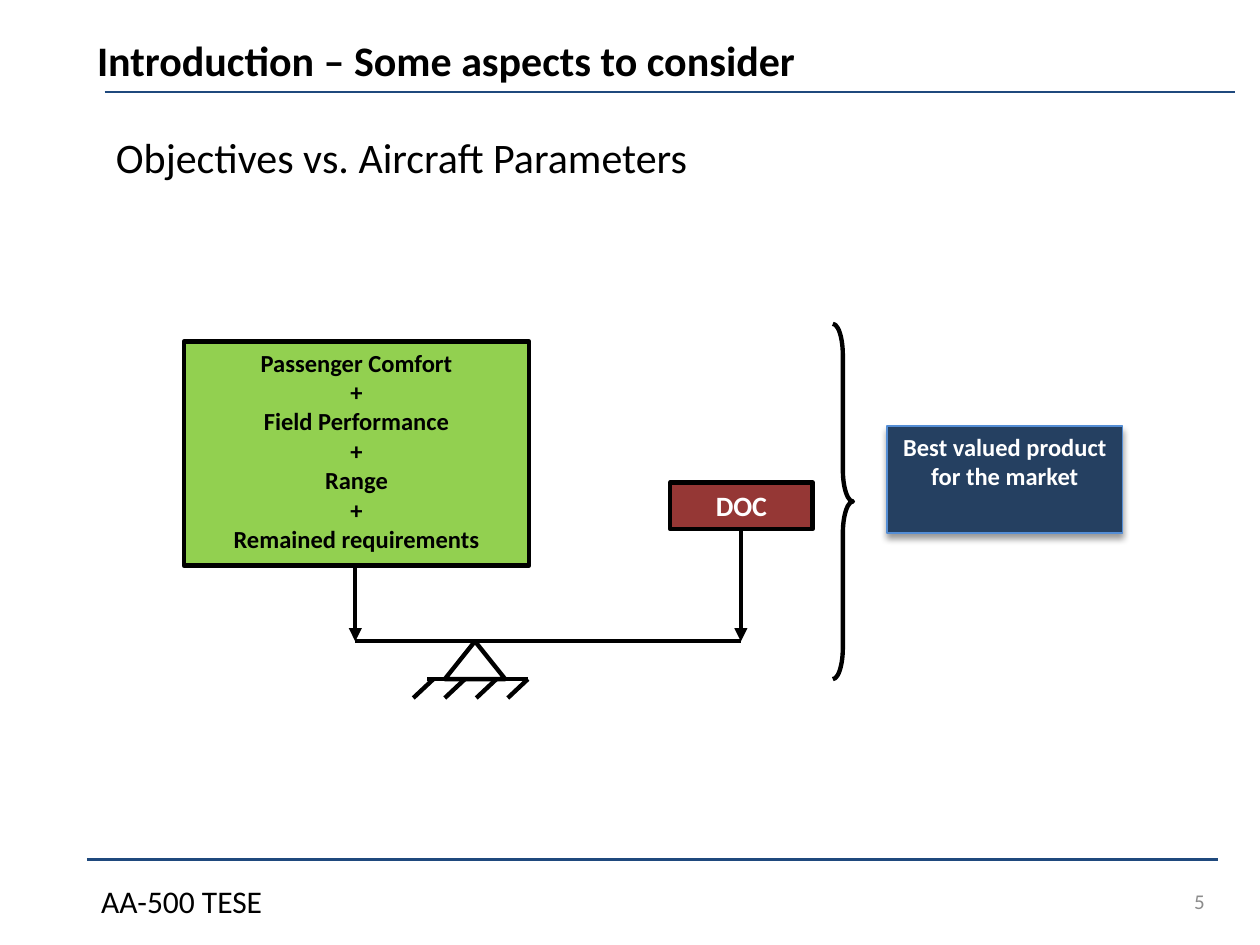
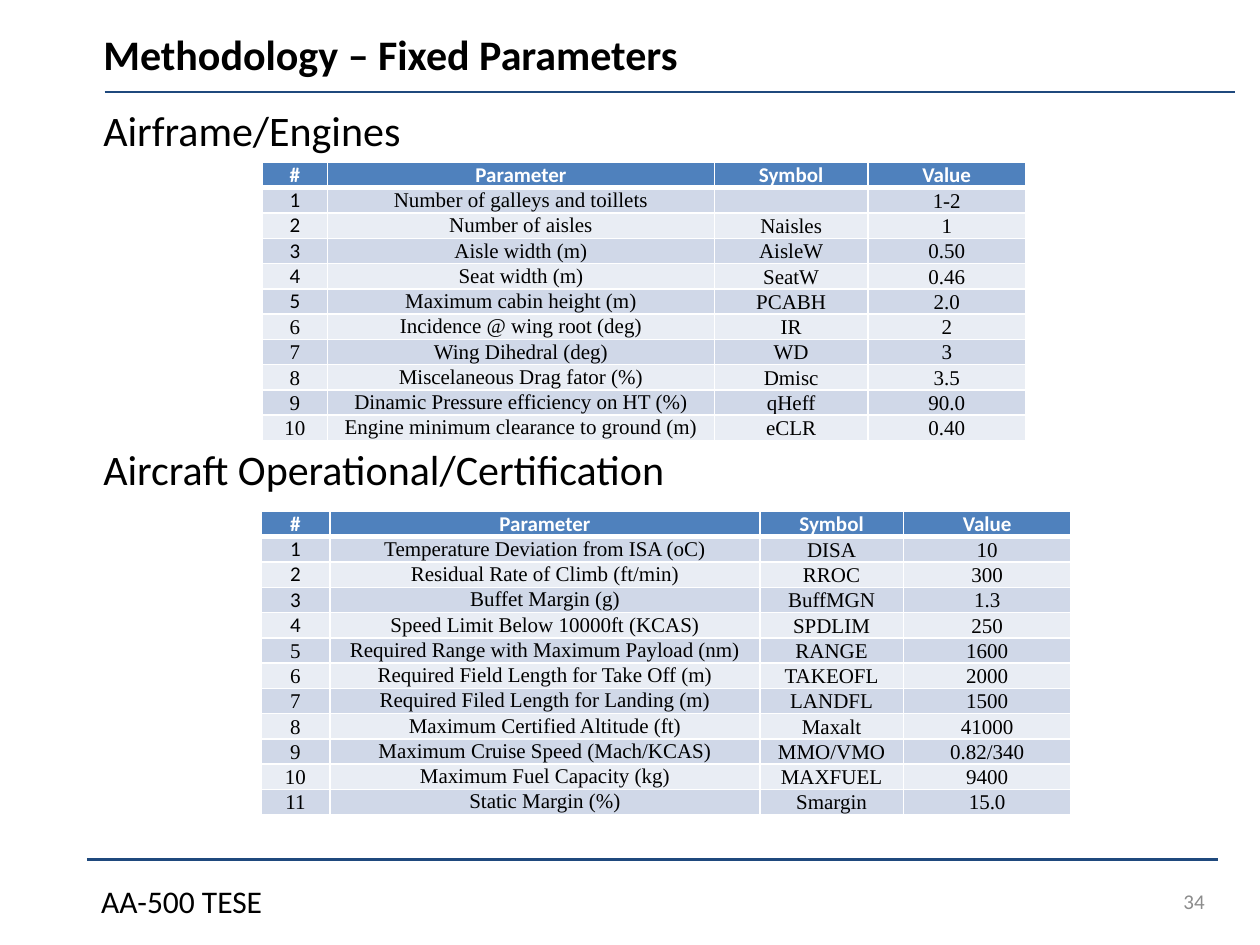
from lxml.etree import SubElement
from pptx import Presentation
from pptx.dml.color import RGBColor
from pptx.enum.shapes import MSO_CONNECTOR, MSO_SHAPE
from pptx.enum.text import MSO_ANCHOR, MSO_AUTO_SIZE, PP_ALIGN
from pptx.oxml.ns import qn
from pptx.util import Pt

EMU_PER_PX = 9144  # 100 px to the inch
BLACK, WHITE, NAVY, GREY = "000000", "FFFFFF", "1F497D", "8C8C8C"
HEADER, BANDS = "4F81BD", ("D0D8E8", "E9EDF4")
SANS, SERIF = "Calibri", "Times New Roman"
LEFT, CENTER, RIGHT = PP_ALIGN.LEFT, PP_ALIGN.CENTER, PP_ALIGN.RIGHT
TITLE_AND_CONTENT, TWO_CONTENT = 1, 3
ROW_HEIGHT = 20


def px(length):
    return length * EMU_PER_PX


def color(hex_text):
    return RGBColor.from_string(hex_text)


class Page:
    """A slide with the shared rules, footer and text style."""

    def __init__(self, deck, layout, number):
        self.slide = deck.slides.add_slide(deck.slide_layouts[layout])
        self.shapes = self.slide.shapes
        self.line(83, 73, 980, 73, NAVY, 1.5)
        self.line(69, 682, 967, 682, NAVY, 1.5)
        self.text_box(0, 695, 218, 40, "AA-500 TESE", 18, BLACK)
        self.text_box(733, 695, 233, 40, number, 12, GREY, MSO_ANCHOR.MIDDLE)

    def add_text(self, frame, lines, size, hex_text, bold=False, align=CENTER,
                 anchor=MSO_ANCHOR.TOP, font=SANS):
        frame.word_wrap = True
        frame.vertical_anchor = anchor
        for index, line in enumerate(lines):
            para = frame.add_paragraph() if index else frame.paragraphs[0]
            para.alignment = align
            span = para.add_run()
            span.text = line
            span.font.name = font
            span.font.size = Pt(size)
            span.font.bold = bold
            span.font.color.rgb = color(hex_text)

    def text_box(self, left, top, width, height, text, size, hex_text,
                 anchor=MSO_ANCHOR.TOP):
        box = self.shapes.add_textbox(px(left), px(top), px(width), px(height))
        self.add_text(box.text_frame, [text], size, hex_text, align=RIGHT, anchor=anchor)

    def heading(self, index, left, top, width, height, text, bold=False, spacing=1.0):
        """Fill placeholder number index with one unbulleted line."""
        box = self.slide.placeholders[index]
        box.left, box.top, box.width, box.height = map(px, (left, top, width, height))
        box.text_frame.auto_size = MSO_AUTO_SIZE.NONE
        para = box.text_frame.paragraphs[0]
        properties = para._p.get_or_add_pPr()
        properties.set("marL", "0")
        properties.set("indent", "0")
        SubElement(properties, qn("a:buNone"))
        para.space_before = Pt(0)
        para.line_spacing = spacing
        self.add_text(box.text_frame, [text], 24, BLACK, bold, LEFT)

    def title(self, left, top, width, text):
        self.heading(0, left, top, width, 50, text, bold=True)

    def line(self, x1, y1, x2, y2, hex_text=BLACK, width=2.5, arrow=False):
        connector = self.shapes.add_connector(
            MSO_CONNECTOR.STRAIGHT, px(x1), px(y1), px(x2), px(y2))
        connector.line.color.rgb = color(hex_text)
        connector.line.width = Pt(width)
        properties = connector.element.spPr
        if arrow:
            SubElement(properties.find(qn("a:ln")), qn("a:tailEnd"), type="triangle")
        SubElement(properties, qn("a:effectLst"))

    def shape(self, kind, left, top, width, height, fill=None, outline=BLACK, weight=2.5):
        shape = self.shapes.add_shape(kind, px(left), px(top), px(width), px(height))
        shape.shadow.inherit = False
        if fill:
            shape.fill.solid()
            shape.fill.fore_color.rgb = color(fill)
        else:
            shape.fill.background()
        shape.line.color.rgb = color(outline)
        shape.line.width = Pt(weight)
        return shape

    def drop_shadow(self, shape):
        effects = shape.element.spPr.find(qn("a:effectLst"))
        shadow = SubElement(effects, qn("a:outerShdw"), blurRad=str(Pt(4)),
                            dist=str(Pt(3)), dir="5400000", rotWithShape="0")
        tint = SubElement(shadow, qn("a:srgbClr"), val=BLACK)
        SubElement(tint, qn("a:alpha"), val="40000")

    def borders(self, cell, top, bottom):
        properties = cell._tc.get_or_add_tcPr()
        for edge, width in (("lnL", 1), ("lnR", 1), ("lnT", top), ("lnB", bottom)):
            line = SubElement(properties, qn(f"a:{edge}"), w=str(Pt(width)))
            fill = SubElement(line, qn("a:solidFill"))
            SubElement(fill, qn("a:srgbClr"), val=WHITE)

    def table(self, left, top, widths, parameters, sans_numbers):
        """Numbered parameter table; the first sans_numbers numbers are sans serif."""
        rows = [("#", "Parameter", "Symbol", "Value")]
        rows += [(str(number), *row) for number, row in enumerate(parameters, 1)]
        table = self.shapes.add_table(
            len(rows), len(widths), px(left), px(top),
            px(sum(widths)), px(ROW_HEIGHT * len(rows))).table
        table.horz_banding = False
        for column, width in zip(table.columns, widths):
            column.width = px(width)
        for r, row in enumerate(rows):
            table.rows[r].height = px(ROW_HEIGHT)
            for c, text in enumerate(row):
                cell = table.cell(r, c)
                cell.margin_left = cell.margin_right = px(7)
                cell.margin_top = cell.margin_bottom = 0
                self.borders(cell, 3 if r == 1 else 1, 3 if r == 0 else 1)
                cell.fill.solid()
                cell.fill.fore_color.rgb = color(BANDS[(r - 1) % 2] if r else HEADER)
                sans = r == 0 or (c == 0 and r <= sans_numbers)
                if text:
                    self.add_text(cell.text_frame, [text], 12, BLACK if r else WHITE,
                                  bold=r == 0, font=SANS if sans else SERIF)
                else:
                    SubElement(cell.text_frame.paragraphs[0]._p,
                               qn("a:endParaRPr"), sz="1200")
                cell.vertical_anchor = (
                    MSO_ANCHOR.MIDDLE if r and c == 1 else MSO_ANCHOR.BOTTOM)


AIRFRAME = [
    ("Number of galleys and toillets", "", "1-2"),
    ("Number of aisles", "Naisles", "1"),
    ("Aisle width (m)", "AisleW", "0.50"),
    ("Seat width (m)", "SeatW", "0.46"),
    ("Maximum cabin height (m)", "PCABH", "2.0"),
    ("Incidence @ wing root (deg)", "IR", "2"),
    ("Wing Dihedral (deg)", "WD", "3"),
    ("Miscelaneous Drag fator (%)", "Dmisc", "3.5"),
    ("Dinamic Pressure efficiency on HT (%)", "qHeff", "90.0"),
    ("Engine minimum clearance to ground (m)", "eCLR", "0.40"),
]
OPERATIONAL = [
    ("Temperature Deviation from ISA (oC)", "DISA", "10"),
    ("Residual Rate of Climb (ft/min)", "RROC", "300"),
    ("Buffet Margin (g)", "BuffMGN", "1.3"),
    ("Speed Limit Below 10000ft (KCAS)", "SPDLIM", "250"),
    ("Required Range with Maximum Payload (nm)", "RANGE", "1600"),
    ("Required Field Length for Take Off (m)", "TAKEOFL", "2000"),
    ("Required Filed Length for Landing (m)", "LANDFL", "1500"),
    ("Maximum Certified Altitude (ft)", "Maxalt", "41000"),
    ("Maximum Cruise Speed (Mach/KCAS)", "MMO/VMO", "0.82/340"),
    ("Maximum Fuel Capacity (kg)", "MAXFUEL", "9400"),
    ("Static Margin (%)", "Smargin", "15.0"),
]


def objectives_page(deck):
    page = Page(deck, TITLE_AND_CONTENT, "5")
    page.title(67, 22, 598, "Introduction – Some aspects to consider")
    page.heading(1, 82, 107, 706, 78, "Objectives vs. Aircraft Parameters", spacing=0.8)

    benefits = page.shape(MSO_SHAPE.RECTANGLE, 146, 271, 274, 178, "92D050")
    page.add_text(benefits.text_frame,
                  ["Passenger Comfort", "+", "Field Performance", "+", "Range", "+",
                   "Remained requirements"], 14, BLACK, bold=True)
    cost = page.shape(MSO_SHAPE.RECTANGLE, 532, 383, 113, 37, "953735")
    page.add_text(cost.text_frame, ["DOC"], 16, WHITE, bold=True)

    beam, ground = 509, 539
    page.line(282, 450, 282, beam, arrow=True)
    page.line(588, 420, 588, beam, arrow=True)
    page.line(282, beam, 588, beam)
    page.shape(MSO_SHAPE.ISOSCELES_TRIANGLE, 353, beam, 48, ground - beam, WHITE)
    for x in range(344, 420, 25):
        page.line(x, ground, x - 16, ground + 15)
    page.line(339, ground, 419, ground)

    brace = page.shape(MSO_SHAPE.RIGHT_BRACE, 661, 257, 16, 282)
    brace.adjustments[0] = 1.58
    result = page.shape(MSO_SHAPE.RECTANGLE, 704, 338, 187, 85, "254061", "558ED5", 0.75)
    page.drop_shadow(result)
    page.add_text(result.text_frame, ["Best valued product for the market"], 14, WHITE,
                  bold=True)


def parameters_page(deck):
    page = Page(deck, TWO_CONTENT, "34")
    page.title(72, 18, 499, "Methodology – Fixed Parameters")
    page.heading(1, 72, 78, 546, 50, "Airframe/Engines")
    page.table(208, 129, (52, 307, 122, 125), AIRFRAME, sans_numbers=5)
    page.heading(2, 72, 347, 483, 50, "Aircraft Operational/Certification")
    page.table(207, 406, (55, 341, 114, 133), OPERATIONAL, sans_numbers=4)


def main():
    deck = Presentation()
    deck.slide_width, deck.slide_height = px(1000), px(750)
    objectives_page(deck)
    parameters_page(deck)
    deck.save("out.pptx")


if __name__ == "__main__":
    main()
